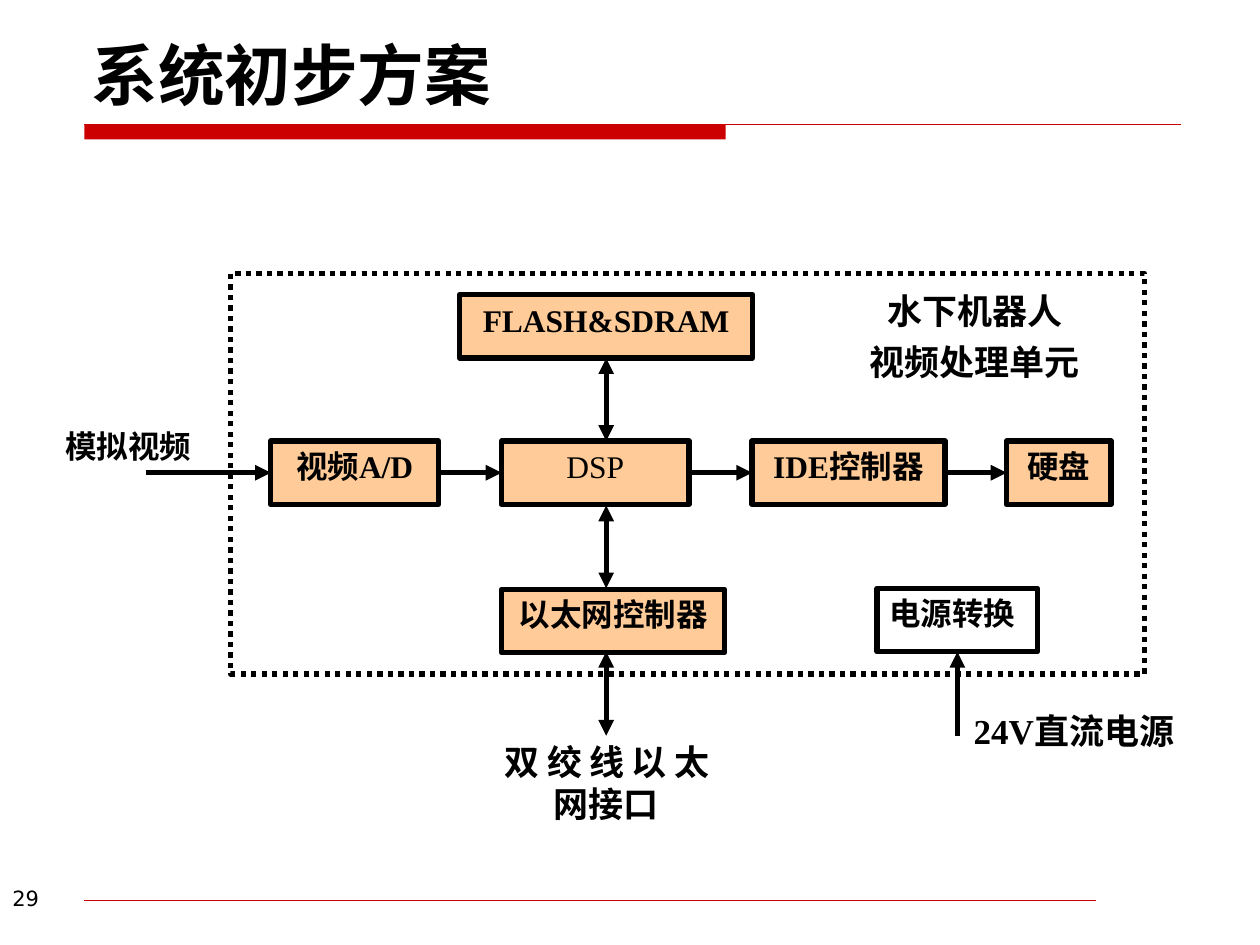
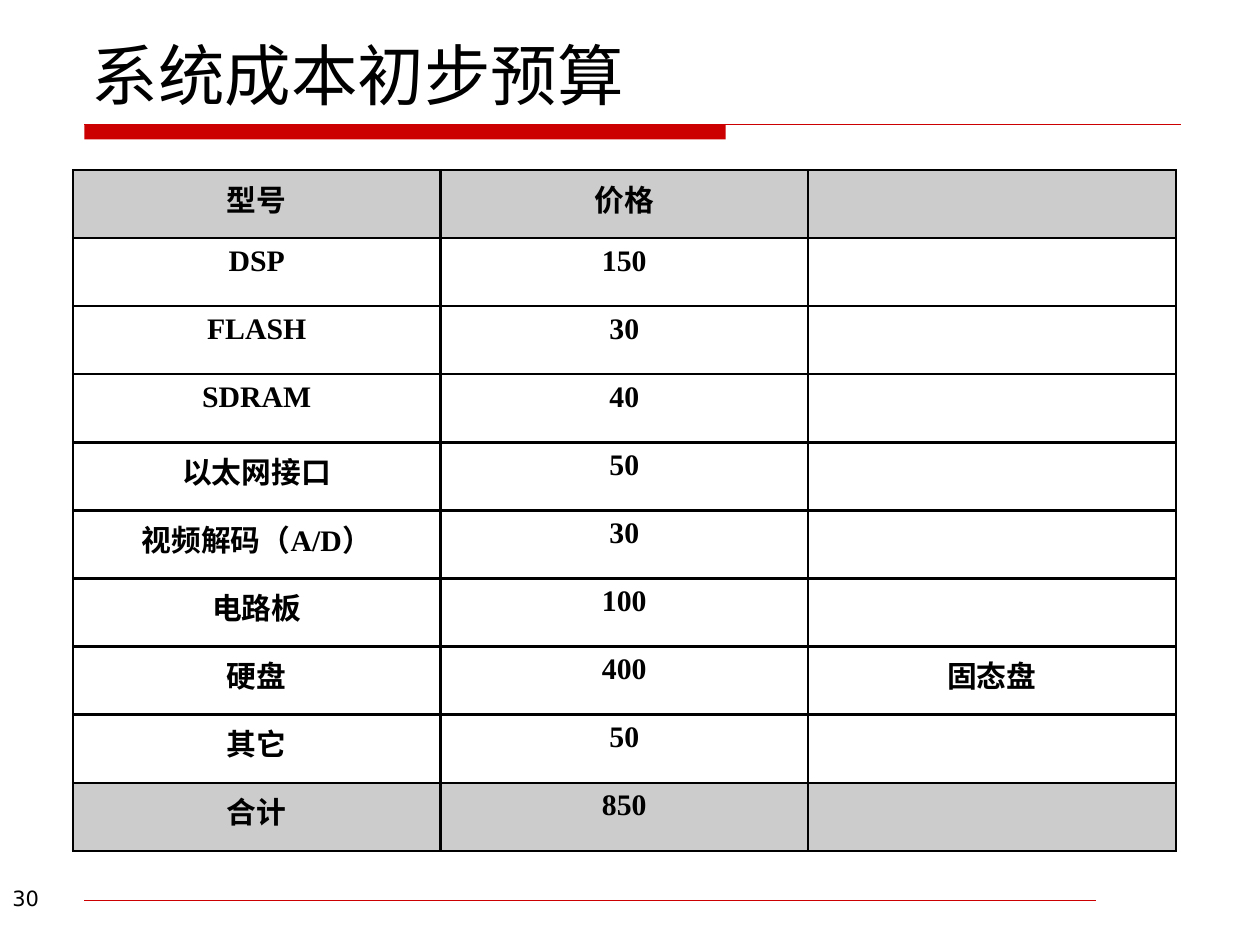
"""Build two slides: the video unit's block diagram and its cost estimate."""
from lxml import etree
from pptx import Presentation
from pptx.dml.color import RGBColor
from pptx.enum.dml import MSO_LINE
from pptx.enum.lang import MSO_LANGUAGE_ID
from pptx.enum.shapes import MSO_CONNECTOR, MSO_SHAPE
from pptx.enum.text import MSO_ANCHOR, PP_ALIGN
from pptx.oxml.ns import qn
from pptx.util import Cm, Pt

RECT, STRAIGHT, DOTTED = MSO_SHAPE.RECTANGLE, MSO_CONNECTOR.STRAIGHT, MSO_LINE.ROUND_DOT
LEFT, CENTER, JUSTIFY = PP_ALIGN.LEFT, PP_ALIGN.CENTER, PP_ALIGN.JUSTIFY
TOP, BOTTOM = MSO_ANCHOR.TOP, MSO_ANCHOR.BOTTOM
CHINESE = MSO_LANGUAGE_ID.SIMPLIFIED_CHINESE
BLACK = RGBColor(0x00, 0x00, 0x00)
RED = RGBColor(0xCC, 0x00, 0x00)
PEACH = RGBColor(0xFF, 0xCC, 0x99)
GREY = RGBColor(0xCC, 0xCC, 0xCC)
SANS, SERIF = "DejaVu Sans", "Times New Roman"


def write(tf, lines, size, font=SERIF, bold=True, align=CENTER, hang=0.97):
    tf.word_wrap = True
    for i, line in enumerate(lines):
        p = tf.add_paragraph() if i else tf.paragraphs[0]
        p.alignment = align
        if i:
            p.space_before = Pt(5)
        pPr = p._p.get_or_add_pPr()
        pPr.set("marL", str(Cm(hang)))
        pPr.set("indent", str(-Cm(hang)))
        r = p.add_run()
        r.text = line
        r.font.size = Pt(size)
        r.font.name = font
        r.font.bold = bold
        r.font.color.rgb = BLACK
        r.font.language_id = CHINESE


def add_line(s, x1, y1, x2, y2, color=BLACK, width=3, ends=()):
    sp = s.shapes.add_connector(STRAIGHT, Cm(x1), Cm(y1), Cm(x2), Cm(y2))
    sp.line.color.rgb = color
    sp.line.width = Pt(width)
    for end in ends:
        etree.SubElement(sp.line._get_or_add_ln(), qn(f"a:{end}"), type="triangle")
    etree.SubElement(sp._element.spPr, qn("a:effectLst"))
    return sp


prs = Presentation()
prs.slide_width, prs.slide_height = Cm(25.4), Cm(19.05)

slides = []
for number, title, bold in (("29", "系统初步方案", True), ("30", "系统成本初步预算", False)):
    s = prs.slides.add_slide(prs.slide_layouts[6])
    slides.append(s)
    bar = s.shapes.add_shape(RECT, Cm(1.7), Cm(2.51), Cm(12.93), Cm(0.3))
    bar.shadow.inherit = False
    bar.fill.solid()
    bar.fill.fore_color.rgb = RED
    bar.line.fill.background()
    add_line(s, 1.7, 2.51, 23.8, 2.51, RED, 0.75)
    add_line(s, 1.7, 18.14, 22.1, 18.14, RED, 0.25)
    for text, size, heavy, anchor, box in (
        (number, 12, False, TOP, (0, 17.73, 5.51, 1.32)),
        (title, 38, bold, BOTTOM, (1.6, 0.33, 22.22, 2.08)),
    ):
        tf = s.shapes.add_textbox(*map(Cm, box)).text_frame
        tf.vertical_anchor = anchor
        write(tf, [text], size, SANS, heavy, LEFT, 0)

diagram, budget = slides

frame = diagram.shapes.add_shape(RECT, Cm(4.65), Cm(5.51), Cm(18.42), Cm(8.08))
frame.shadow.inherit = False
frame.fill.background()
frame.line.color.rgb = BLACK
frame.line.width = Pt(3)
frame.line.dash_style = DOTTED

blocks = {}
for name, x, y, w in (
    ("DSP", 10.11, 8.89, 3.78),
    ("以太网控制器", 10.11, 11.88, 4.5),
    ("IDE控制器", 15.16, 8.89, 3.89),
    ("视频A/D", 5.46, 8.89, 3.38),
    ("FLASH&SDRAM", 9.27, 5.94, 5.9),
    ("硬盘", 20.29, 8.89, 2.11),
    ("电源转换", 17.68, 11.86, 3.24),
):
    sp = diagram.shapes.add_shape(RECT, Cm(x), Cm(y), Cm(w), Cm(1.28))
    sp.shadow.inherit = False
    is_power = name == "电源转换"
    if is_power:
        sp.fill.background()
    else:
        sp.fill.solid()
        sp.fill.fore_color.rgb = PEACH
    sp.line.color.rgb = BLACK
    sp.line.width = Pt(3)
    sp.text_frame.vertical_anchor = TOP
    write(sp.text_frame, [name], 18, bold=name != "DSP", align=JUSTIFY if is_power else CENTER)
    blocks[name] = sp

chain = [blocks[name] for name in ("视频A/D", "DSP", "IDE控制器", "硬盘")]
for source, target in zip(chain, chain[1:]):
    link = add_line(diagram, 0, 0, 1, 1, ends=["tailEnd"])
    link.begin_connect(source, 3)
    link.end_connect(target, 1)
add_line(diagram, 2.95, 9.53, 5.46, 9.53, ends=["tailEnd"]).end_connect(chain[0], 1)
add_line(diagram, 19.3, 14.83, 19.3, 13.14, ends=["tailEnd"]).end_connect(blocks["电源转换"], 2)

both = ["headEnd", "tailEnd"]
add_line(diagram, 12.22, 8.89, 12.22, 7.22, ends=both).end_connect(blocks["FLASH&SDRAM"], 2)
for y1, y2 in ((11.86, 10.19), (14.83, 13.14)):
    add_line(diagram, 12.22, y1, 12.22, y2, ends=both)

for lines, size, align, box in (
    (["模拟视频"], 18, JUSTIFY, (1.07, 8.48, 3.38, 1.7)),
    (["双绞线以太网接口"], 20, JUSTIFY, (9.93, 14.81, 4.62, 1.7)),
    (["水下机器人", "视频处理单元"], 20, CENTER, (17.07, 5.72, 5.16, 2.11)),
    (["24V直流电源"], 20, JUSTIFY, (19.38, 14.17, 4.75, 1.7)),
):
    tf = diagram.shapes.add_textbox(*map(Cm, box)).text_frame
    write(tf, lines, size, align=align)

costs = (
    ("型号", "价格", ""),
    ("DSP", "150", ""),
    ("FLASH", "30", ""),
    ("SDRAM", "40", ""),
    ("以太网接口", "50", ""),
    ("视频解码（A/D）", "30", ""),
    ("电路板", "100", ""),
    ("硬盘", "400", "固态盘"),
    ("其它", "50", ""),
    ("合计", "850", ""),
)
table = budget.shapes.add_table(
    len(costs), 3, Cm(1.47), Cm(3.43), Cm(22.23), Cm(13.72)
).table
table.first_row = table.horz_banding = False
for i, row in enumerate(costs):
    for j, text in enumerate(row):
        cell = table.cell(i, j)
        for side in ("lnL", "lnR", "lnT", "lnB"):
            ln = etree.SubElement(cell._tc.get_or_add_tcPr(), qn(f"a:{side}"), w=str(Pt(1.47)))
            fill = etree.SubElement(ln, qn("a:solidFill"))
            etree.SubElement(fill, qn("a:srgbClr"), val=str(BLACK))
        if i in (0, len(costs) - 1):
            cell.fill.solid()
            cell.fill.fore_color.rgb = GREY
        else:
            cell.fill.background()
        if text:
            write(cell.text_frame, [text], 17, hang=1.3)

prs.save("out.pptx")
